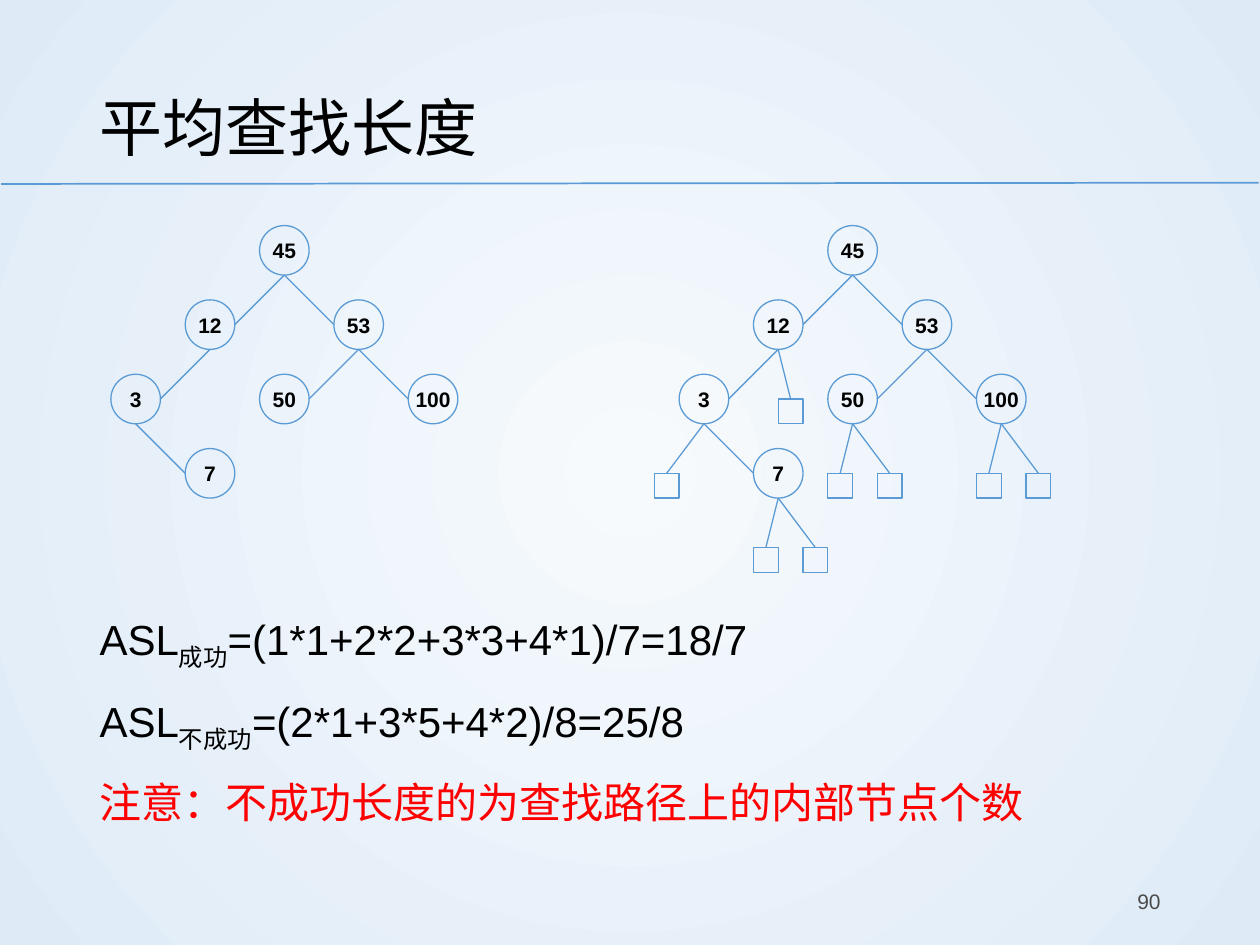
from dataclasses import dataclass

from lxml.etree import SubElement
from pptx import Presentation
from pptx.dml.color import RGBColor
from pptx.enum.shapes import MSO_CONNECTOR, MSO_SHAPE
from pptx.enum.text import MSO_ANCHOR, MSO_AUTO_SIZE, PP_ALIGN
from pptx.oxml.ns import qn
from pptx.util import Inches, Pt


@dataclass(frozen=True)
class Theme:
    """Colours, font and type sizes of the slide."""
    font: str = "Arial"
    ink: str = "000000"
    accent: str = "5B9BD5"
    warning: str = "FF0000"
    muted: str = "4B4B4B"
    glow: str = "F7FAFD"
    edge: str = "DEEBF7"
    title_size: int = 36
    body_size: int = 24
    label_size: int = 12
    rule_width: float = 1
    branch_width: float = 0.75
    line_spacing: float = 1.2
    paragraph_gap: float = 7.5


COLUMNS, ROWS = 100, 75
STEP = 5.9
UNIT = STEP / 3
NODE, LEAF = 2 * UNIT, UNIT
TREE_TOP = 17.9
PLAIN_TREE_LEFT, EXTENDED_TREE_LEFT = 8.8, 53.9

NODES = {"45": (2, 0), "12": (1, 1), "53": (3, 1), "3": (0, 2),
         "7": (1, 3), "100": (4, 2), "50": (2, 2)}
BRANCHES = [("45", "12"), ("12", "3"), ("45", "53"),
            ("53", "100"), ("3", "7"), ("53", "50")]
LEAF_OFFSETS = {"3": [-1], "12": [1], "50": [0, 2], "100": [0, 2], "7": [0, 2]}
FORMULAS = [("成功", "=(1*1+2*2+3*3+4*1)/7=18/7"),
            ("不成功", "=(2*1+3*5+4*2)/8=25/8")]
REMARK = "注意：不成功长度的为查找路径上的内部节点个数"


class SlideBuilder:
    """Draws the elements of one slide on a grid of columns and rows."""

    def __init__(self, deck, theme):
        """Add a title-and-content slide to the deck."""
        self.deck, self.theme = deck, theme
        self.slide = deck.slides.add_slide(deck.slide_layouts[1])

    def place(self, *cells):
        """Turn alternating columns and rows into lengths."""
        scales = (self.deck.slide_width / COLUMNS, self.deck.slide_height / ROWS)
        return [int(cell * scales[i % 2]) for i, cell in enumerate(cells)]

    def background(self):
        """Fill the background with a circular glow."""
        fill = self.slide.background.fill
        fill.gradient()
        for stop, colour in zip(fill.gradient_stops, (self.theme.glow, self.theme.edge)):
            stop.color.rgb = RGBColor.from_string(colour)
        gradient = self.slide.element.find(".//" + qn("a:gradFill"))
        gradient.remove(gradient.find(qn("a:lin")))
        circle = SubElement(gradient, qn("a:path"), path="circle")
        SubElement(circle, qn("a:fillToRect"), l="50000", t="50000", r="50000", b="50000")

    def run(self, paragraph, text, size, colour=None, bold=False, baseline=0):
        """Append one formatted run."""
        run = paragraph.add_run()
        run.text = text
        run.font.name, run.font.size, run.font.bold = self.theme.font, Pt(size), bold
        run.font.color.rgb = RGBColor.from_string(colour or self.theme.ink)
        if baseline:
            run.font._element.set("baseline", str(baseline * 1000))

    def frame(self, holder, cells, anchor):
        """Move a text holder and return its frame."""
        holder.left, holder.top, holder.width, holder.height = self.place(*cells)
        frame = holder.text_frame
        frame.word_wrap, frame.auto_size = True, MSO_AUTO_SIZE.NONE
        frame.vertical_anchor = anchor
        return frame

    def title(self, text, cells):
        """Fill the title placeholder."""
        heading = self.frame(self.slide.shapes.title, cells, MSO_ANCHOR.MIDDLE).paragraphs[0]
        heading.alignment = PP_ALIGN.LEFT
        heading.line_spacing = self.theme.line_spacing
        self.run(heading, text, self.theme.title_size)

    def body(self, formulas, remark, cells):
        """Fill the body placeholder with the formulas and the remark."""
        frame = self.frame(self.slide.placeholders[1], cells, MSO_ANCHOR.TOP)
        size = self.theme.body_size
        for index, (outcome, result) in enumerate(formulas):
            formula = self.body_paragraph(frame, index == 0)
            self.run(formula, "ASL", size)
            self.run(formula, outcome, size, baseline=-25)
            self.run(formula, result, size)
        self.run(self.body_paragraph(frame), remark, size, self.theme.warning)

    def body_paragraph(self, frame, first=False):
        """Return a hanging paragraph without a bullet."""
        paragraph = frame.paragraphs[0] if first else frame.add_paragraph()
        properties = paragraph._p.get_or_add_pPr()
        properties.set("marL", str(Inches(0.19)))
        properties.set("indent", str(Inches(-0.19)))
        SubElement(properties, qn("a:buNone"))
        paragraph.line_spacing = self.theme.line_spacing
        paragraph.space_before = Pt(0 if first else self.theme.paragraph_gap)
        return paragraph

    def page_number(self, number, cells):
        """Write the page number at the right."""
        holder = self.slide.shapes.add_textbox(0, 0, 0, 0)
        paragraph = self.frame(holder, cells, MSO_ANCHOR.MIDDLE).paragraphs[0]
        paragraph.alignment = PP_ALIGN.RIGHT
        self.run(paragraph, number, self.theme.label_size, self.theme.muted)

    def line(self, start, end, width=None):
        """Draw a straight line between two grid points."""
        line = self.slide.shapes.add_connector(
            MSO_CONNECTOR.STRAIGHT, *self.place(*start, *end))
        line.line.color.rgb = RGBColor.from_string(self.theme.accent)
        line.line.width = Pt(width or self.theme.branch_width)
        SubElement(line._element.spPr, qn("a:effectLst"))
        return line

    def outline(self, kind, left, top, size):
        """Draw an unfilled outlined shape."""
        shape = self.slide.shapes.add_shape(kind, *self.place(left, top, size, size))
        shape.shadow.inherit = False
        shape.fill.background()
        shape.line.color.rgb = RGBColor.from_string(self.theme.accent)
        shape.line.width = Pt(self.theme.branch_width)
        return shape

    def node(self, key, left, top):
        """Draw a tree node with its key."""
        frame = self.outline(MSO_SHAPE.OVAL, left, top, NODE).text_frame
        frame.margin_left = frame.margin_right = frame.margin_top = frame.margin_bottom = 0
        frame.word_wrap, frame.vertical_anchor = False, MSO_ANCHOR.MIDDLE
        frame.paragraphs[0].alignment = PP_ALIGN.CENTER
        self.run(frame.paragraphs[0], key, self.theme.label_size, bold=True)

    def tree(self, left, leaf_offsets):
        """Draw the search tree and its external leaves."""
        corners = {key: (left + column * STEP, TREE_TOP + row * STEP)
                   for key, (column, row) in NODES.items()}
        bottoms = {key: (x + NODE / 2, y + NODE) for key, (x, y) in corners.items()}
        for key, corner in corners.items():
            self.node(key, *corner)
        for parent, child in BRANCHES:
            x, y = corners[child]
            side = x + NODE if x < corners[parent][0] else x
            self.line(bottoms[parent], (side, y + NODE / 2))
        for parent, offsets in leaf_offsets.items():
            x, y = corners[parent]
            for offset in offsets:
                leaf_left, leaf_top = x + offset * UNIT, y + 2 * NODE
                leaf = self.outline(MSO_SHAPE.RECTANGLE, leaf_left, leaf_top, LEAF)
                branch = self.line(bottoms[parent], (leaf_left + LEAF / 2, leaf_top))
                branch.end_connect(leaf, 0)


def main():
    """Build and save the slide."""
    deck = Presentation()
    deck.slide_width, deck.slide_height = Inches(10), Inches(7.5)
    theme = Theme()
    builder = SlideBuilder(deck, theme)
    builder.background()
    builder.line((0.1, 14.6), (99.9, 14.5), theme.rule_width)
    builder.title("平均查找长度", (6.9, 4, 86.2, 10.8))
    builder.body(FORMULAS, REMARK, (6.9, 47.3, 86.2, 20.3))
    builder.page_number("90", (70.6, 69.5, 22.5, 4))
    builder.tree(PLAIN_TREE_LEFT, {})
    builder.tree(EXTENDED_TREE_LEFT, LEAF_OFFSETS)
    deck.save("out.pptx")


if __name__ == "__main__":
    main()
